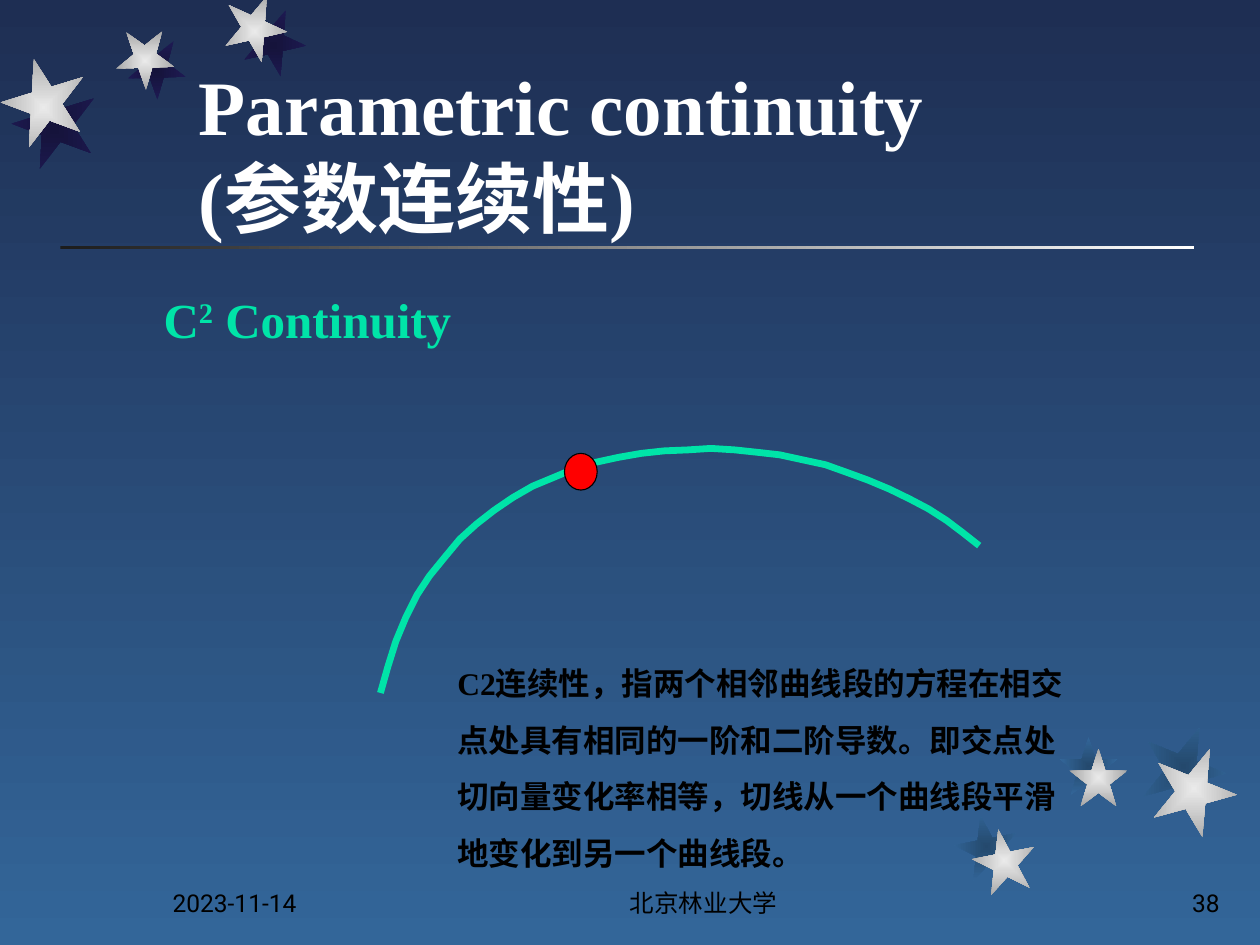
"""Build the slide on C2 parametric continuity."""
import pptx
import pptx.dml.color
import pptx.enum.shapes
import pptx.enum.text
import pptx.util
from lxml import etree

Cm, Pt = pptx.util.Cm, pptx.util.Pt
SHAPE = pptx.enum.shapes.MSO_SHAPE
ALIGN = pptx.enum.text.PP_ALIGN
ANCHOR = pptx.enum.text.MSO_ANCHOR

THEME = {
    "sky": ("1E2E53", "336699"), "rule": ("1C1C1C", "FFFFFF"),
    "star": ("EAEAEA", "A7A7A7"),
    "night": ("15133B", "1E1A53"), "dusk": ("24496D", "336699"),
    "white": "FFFFFF", "black": "000000", "green": "00E4A8", "red": "FF0000",
    "serif": "Times New Roman", "sans": "Roboto",
    "title": 44, "head": 28, "body": 18, "foot": 14,
}

TITLE = "Parametric continuity\v(参数连续性)"
HEAD = [("C", 0), ("2", 30), (" Continuity", 0)]
BODY = ("C2连续性，指两个相邻曲线段的方程在相交点处具有相同的一阶和二阶导数。"
        "即交点处切向量变化率相等，切线从一个曲线段平滑地变化到另一个曲线段。")
FOOT = [
    ("2023-11-14", 3.23, 5.28, ALIGN.LEFT),
    ("北京林业大学", 10.16, 8.05, ALIGN.CENTER),
    ("38", 19.56, 5.28, ALIGN.RIGHT),
]

# shade colours, then per star: left, top, size, turn, shade shift
STARS = {
    "night": [(4.5, 0, 1.27, 167.3, 0.38, 0.28),
              (2.34, 0.64, 1.17, 178.3, 0.23, 0.2),
              (0.03, 1.32, 1.7, 200.3, 0.22, 0.43)],
    "dusk": [(19.61, 16.71, 1.27, 349, -0.36, -0.28),
             (21.56, 15.09, 1.17, 0, -0.2, -0.23),
             (23.22, 15.04, 1.7, 22, -0.21, -0.43)],
}

CURVE = [
    (7.67, 13.97), (7.82, 13.44), (7.98, 12.93), (8.18, 12.45), (8.41, 11.99),
    (8.66, 11.61), (8.97, 11.23), (9.27, 10.87), (9.6, 10.57), (9.96, 10.29),
    (10.34, 10.03), (10.74, 9.8), (11.15, 9.63), (11.58, 9.45), (12.01, 9.32),
    (12.47, 9.22), (12.93, 9.14), (13.39, 9.09), (13.87, 9.07), (14.33, 9.04),
    (14.81, 9.07), (15.27, 9.12), (15.72, 9.17), (16.18, 9.27), (16.64, 9.37),
    (17.09, 9.53), (17.5, 9.68), (17.93, 9.86), (18.34, 10.06), (18.72, 10.26),
    (19.08, 10.49), (19.41, 10.74), (19.74, 11),
]


def tint(name):
    return pptx.dml.color.RGBColor.from_string(name)


def blend(fill, pair, angle=0):
    fill.gradient()
    fill.gradient_angle = angle
    for stop, name, place in zip(fill.gradient_stops, pair, (0, 1)):
        stop.color.rgb = tint(name)
        stop.position = place


def form(slide, kind, left, top, width, height):
    shape = slide.shapes.add_shape(kind, Cm(left), Cm(top), Cm(width), Cm(height))
    shape.shadow.inherit = False
    shape.line.fill.background()
    return shape


def star(slide, left, top, size, turn, pair):
    shape = form(slide, SHAPE.STAR_5_POINT, left, top, size, size)
    shape.rotation = turn
    blend(shape.fill, pair)
    lin = shape._element.spPr.find(".//" + pptx.oxml.ns.qn("a:lin"))
    glow = etree.Element(pptx.oxml.ns.qn("a:path"), {"path": "shape"})
    etree.SubElement(glow, pptx.oxml.ns.qn("a:fillToRect"),
                     dict.fromkeys("ltrb", "50000"))
    lin.getparent().replace(lin, glow)


def label(slide, text, box, size, color, font="serif", bold=True,
          align=ALIGN.LEFT, anchor=ANCHOR.TOP, space=1):
    frame = slide.shapes.add_textbox(*map(Cm, box)).text_frame
    frame.word_wrap = True
    frame.vertical_anchor = anchor
    para = frame.paragraphs[0]
    if isinstance(text, str):
        para.text = text
    else:
        for part, lift in text:
            run = para.add_run()
            run.text = part
            if lift:
                run._r.get_or_add_rPr().set("baseline", str(lift * 1000))
    para.alignment = align
    para.line_spacing = space
    para.font.name = THEME[font]
    para.font.size = Pt(THEME[size])
    para.font.bold = bold
    para.font.color.rgb = tint(THEME[color])


def draw(slide):
    blend(slide.background.fill, THEME["sky"], 270)
    rule = form(slide, SHAPE.RECTANGLE, 1.22, 4.95, 22.86, 0.08)
    blend(rule.fill, THEME["rule"])
    for shade, group in STARS.items():
        for left, top, size, turn, right, down in group:
            star(slide, left + right, top + down, size, turn, THEME[shade])
        for left, top, size, turn, *_ in group:
            star(slide, left, top, size, turn, THEME["star"])

    for text, left, width, align in FOOT:
        label(slide, text, (left, 17.35, width, 1.27), "foot", "black",
              "sans", False, align, ANCHOR.BOTTOM)
    label(slide, TITLE, (3.76, 0.97, 19.05, 4.06), "title", "white",
          anchor=ANCHOR.BOTTOM)

    nodes = [(Cm(x), Cm(y)) for x, y in CURVE]
    pen = slide.shapes.build_freeform(*nodes[0])
    pen.add_line_segments(nodes[1:], close=False)
    arc = pen.convert_to_shape()
    arc.shadow.inherit = False
    arc.fill.background()
    arc.line.color.rgb = tint(THEME["green"])
    arc.line.width = Pt(3.88)

    dot = form(slide, SHAPE.OVAL, 11.38, 9.14, 0.66, 0.74)
    dot.fill.solid()
    dot.fill.fore_color.rgb = tint(THEME["red"])
    dot.line.color.rgb = tint(THEME["black"])
    dot.line.width = Pt(0.63)

    label(slide, HEAD, (3.05, 5.84, 10.82, 1.85), "head", "green", space=0.9)
    label(slide, BODY, (8.97, 12.88, 12.95, 4.85), "body", "black", space=1.5)


def main():
    deck = pptx.Presentation()
    deck.slide_width, deck.slide_height = Cm(25.4), Cm(19.05)
    draw(deck.slides.add_slide(deck.slide_layouts[6]))
    deck.save("out.pptx")


if __name__ == "__main__":
    main()
